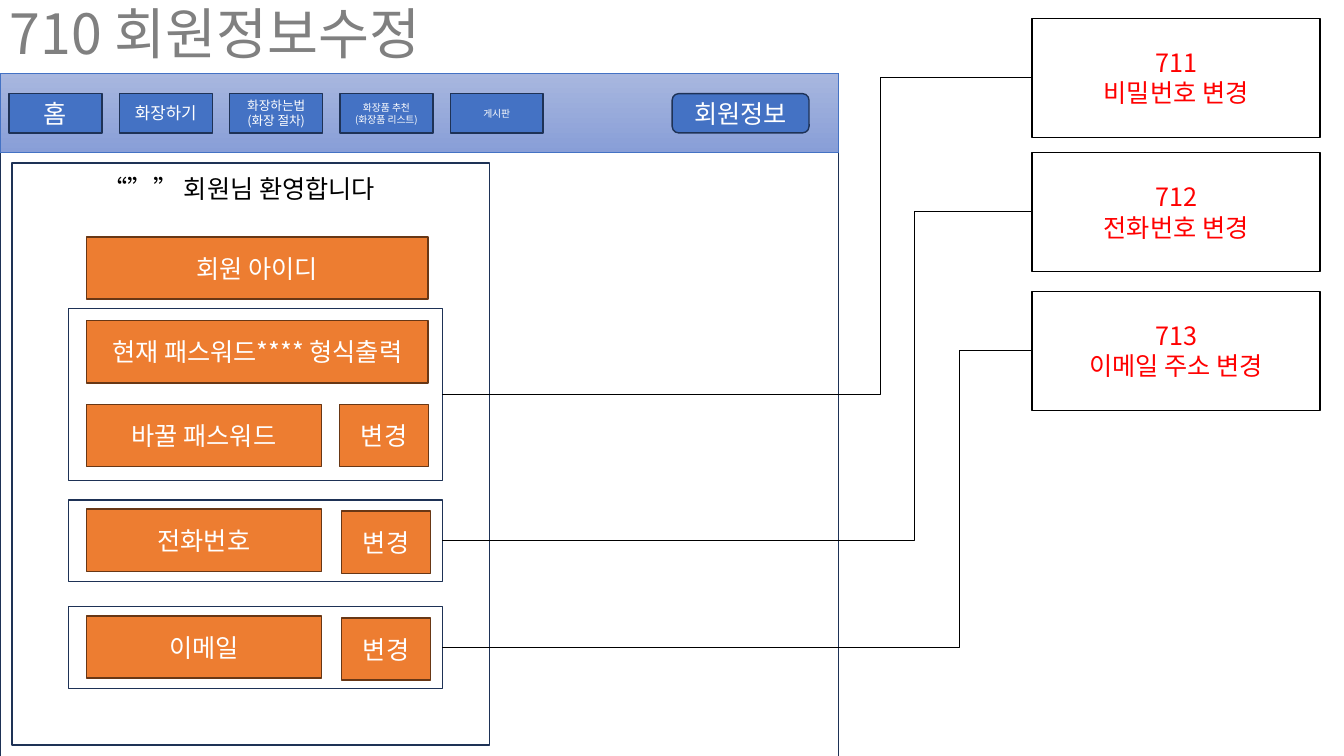
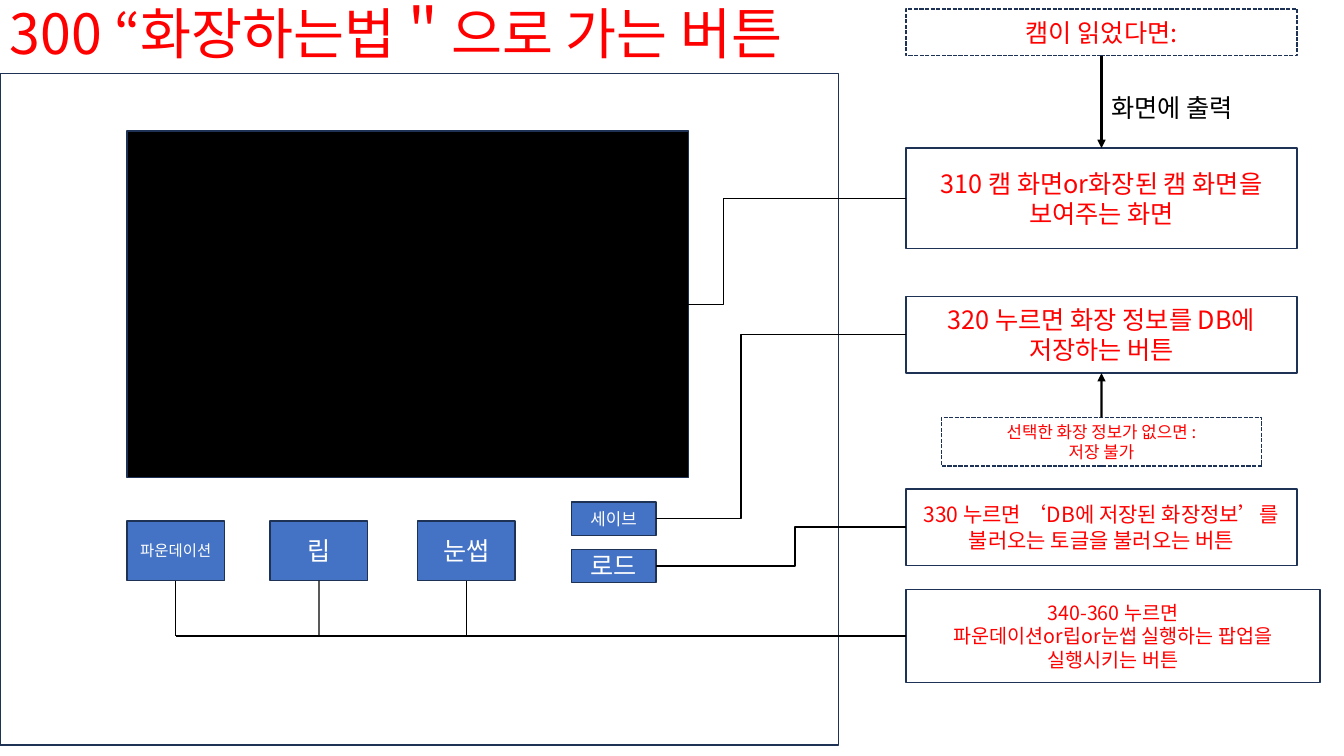
from lxml.etree import SubElement
from pptx import Presentation
from pptx.dml.color import RGBColor
from pptx.enum.dml import MSO_LINE
from pptx.enum.shapes import MSO_CONNECTOR, MSO_SHAPE
from pptx.enum.text import MSO_ANCHOR, PP_ALIGN
from pptx.oxml.ns import qn
from pptx.util import Cm, Pt

FONT = "Noto Sans CJK KR"
COLORS = {
    "navy": "1E3256", "blue": "4472C4", "orange": "ED7D31", "brown": "683715",
    "red": "FF0000", "gray": "808080", "black": "000000", "white": "FFFFFF",
    "band_top": "A8B7DF", "band_bottom": "889ED7",
}
FRAME_Y, FRAME_W = 1.85, 21.13
BOTTOM, RIGHT, LEFT = 2, 3, 1  # connection sites of a rectangle


def rgb(name):
    return RGBColor.from_string(COLORS[name])


# Basic parts
def put_text(sp, text, size=18, color="white", align=PP_ALIGN.CENTER,
             anchor=MSO_ANCHOR.MIDDLE, spacing=None):
    tf = sp.text_frame
    tf.word_wrap = True
    tf.vertical_anchor = anchor
    tf.text = text
    for p in tf.paragraphs:
        p.alignment = align
        p.line_spacing = spacing
        for r in p.runs:
            r.font.size = Pt(size)
            r.font.color.rgb = rgb(color)
            r.font.name = FONT
            SubElement(r.font._element, qn("a:ea"), typeface=FONT)


def add_label(s, x, y, w, h, text, **fmt):
    sp = s.shapes.add_textbox(Cm(x), Cm(y), Cm(w), Cm(h))
    put_text(sp, text, align=PP_ALIGN.LEFT, **fmt)


def add_box(s, x, y, w, h, text="", fill=None, line="navy", weight=1,
            dashed=False, shape=MSO_SHAPE.RECTANGLE, **fmt):
    sp = s.shapes.add_shape(shape, Cm(x), Cm(y), Cm(w), Cm(h))
    sp.shadow.inherit = False
    if fill:
        sp.fill.solid()
        sp.fill.fore_color.rgb = rgb(fill)
    else:
        sp.fill.background()
    sp.line.color.rgb = rgb(line)
    sp.line.width = Pt(weight)
    if dashed:
        sp.line.dash_style = MSO_LINE.SQUARE_DOT
    if text:
        put_text(sp, text, **fmt)
    return sp


def add_line(s, start=None, end=None, begin_at=(0, 0), end_at=(0, 0),
             weight=1, bend=None, arrow=False):
    """Join start and end, each a (shape, site) pair, or use free points."""
    kind = MSO_CONNECTOR.STRAIGHT if bend is None else MSO_CONNECTOR.ELBOW
    c = s.shapes.add_connector(kind, *(Cm(v) for v in (*begin_at, *end_at)))
    if start:
        c.begin_connect(*start)
    if end:
        c.end_connect(*end)
    c.line.color.rgb = rgb("black")
    c.line.width = Pt(weight)
    sp_pr = c.element.spPr
    if bend is not None:
        ratio = (Cm(bend) - c.begin_x) / (c.end_x - c.begin_x)
        guides = sp_pr.find(qn("a:prstGeom")).find(qn("a:avLst"))
        SubElement(guides, qn("a:gd"), name="adj1",
                   fmla=f"val {round(ratio * 100000)}")
    if arrow:
        SubElement(sp_pr.find(qn("a:ln")), qn("a:tailEnd"), type="triangle")
    SubElement(sp_pr, qn("a:effectLst"))


# Shared by both slides
def add_page(prs, title, color, title_w, frame_h):
    s = prs.slides.add_slide(prs.slide_layouts[6])
    add_box(s, 0, FRAME_Y, FRAME_W, frame_h)
    add_label(s, 0, 0, title_w, FRAME_Y, title, size=39.6, color=color,
              spacing=0.9)
    return s


# Member page regions
def add_nav(s, x, y, w):
    band = add_box(s, x, y, w, 2, line="blue", weight=0.5)
    band.fill.gradient()
    band.fill.gradient_angle = 270
    for stop, name in zip(band.fill.gradient_stops, ("band_top", "band_bottom")):
        stop.color.rgb = rgb(name)
    menu = [("홈", 18), ("화장하기", 12), ("화장하는법\n(화장 절차)", 9),
            ("화장품 추천\n(화장품 리스트)", 7), ("게시판", 7)]
    for i, (text, size) in enumerate(menu):
        add_box(s, x + 0.23 + i * 2.78, y + 0.51, 2.34, 0.99, text,
                fill="blue", size=size)
    add_box(s, x + 16.94, y + 0.51, 3.45, 0.99, "회원정보", fill="blue",
            shape=MSO_SHAPE.ROUNDED_RECTANGLE)


def add_field(s, x, y, w, text):
    add_box(s, x, y, w, 1.57, text, fill="orange", line="brown")


def add_edit_group(s, x, y, h, text, row_y=0.23, change=(6.88, 0.28)):
    group = add_box(s, x, y, 9.42, h)
    add_field(s, x + 0.45, y + row_y, 5.92, text)
    add_field(s, x + change[0], y + change[1], 2.24, "변경")
    return group


def add_member_panel(s, x, y):
    add_box(s, x, y, 12.04, 14.66)
    add_label(s, x + 2.04, y + 0.13, 8.46, 1.02, "“”” 회원님 환영합니다",
              color="black", anchor=MSO_ANCHOR.TOP)
    add_field(s, x + 1.88, y + 1.86, 8.61, "회원 아이디")
    gx = x + 1.43
    password = add_edit_group(s, gx, y + 3.66, 4.34, "바꿀 패스워드",
                              row_y=2.42, change=(6.83, 2.42))
    add_field(s, gx + 0.45, y + 3.97, 8.61, "현재 패스워드**** 형식출력")
    phone = add_edit_group(s, gx, y + 8.49, 2.06, "전화번호")
    email = add_edit_group(s, gx, y + 11.18, 2.06, "이메일")
    return password, phone, email


def member_slide(prs):
    s = add_page(prs, "710 회원정보수정", "gray", 29.21, 17.48)
    add_nav(s, 0, FRAME_Y, FRAME_W)
    groups = add_member_panel(s, 0.3, 4.11)
    callouts = [("711\n비밀번호 변경", 0.46, 22.17),
                ("712\n전화번호 변경", 3.84, 23.06),
                ("713\n이메일 주소 변경", 7.34, 24.18)]
    for group, (text, y, bend) in zip(groups, callouts):
        sp = add_box(s, 26.01, y, 7.26, 3, text, fill="white", line="black",
                     color="red")
        add_line(s, (group, RIGHT), (sp, LEFT), weight=0.5, bend=bend)


# Makeup page regions
def add_camera(s, x, y):
    screen = add_box(s, x, y, 14.15, 8.74, fill="black")
    parts = [add_box(s, x + dx, y + 9.83, 2.46, 1.5, text, fill="blue", size=size)
             for text, dx, size in (("파운데이션", 0, 11), ("립", 3.61, 18),
                                    ("눈썹", 7.32, 18))]
    save, load = [add_box(s, x + 11.2, y + dy, 2.13, 0.84, text, fill="blue",
                          size=size)
                  for text, dy, size in (("세이브", 9.35, 12), ("로드", 10.54, 18))]
    return screen, save, load, parts


def add_notes_column(s, x):
    def note(y, h, text, dx=0, w=9.86, **fmt):
        return add_box(s, x + dx, y, w, h, text, color="red", **fmt)

    cam = note(0.23, 1.17, "캠이 읽었다면:", dashed=True)
    view = note(3.73, 2.54, "310 캠 화면or화장된 캠 화면을 보여주는 화면")
    save = note(7.47, 1.93, "320 누르면 화장 정보를 DB에 저장하는 버튼")
    empty = note(10.52, 1.22, "선택한 화장 정보가 없으면 :\n저장 불가", dx=0.89,
                 w=8.08, size=12, dashed=True)
    load = note(12.32, 1.93, "330 누르면 ‘DB에 저장된 화장정보’를 "
                "불러오는 토글을 불러오는 버튼", size=15)
    popup = note(14.86, 2.34, "340-360 누르면\n파운데이션or립or눈썹 실행하는 "
                 "팝업을\n실행시키는 버튼", w=10.44, size=14)
    add_line(s, (cam, BOTTOM), (view, 0), weight=1.5, arrow=True)
    add_line(s, (empty, 0), (save, BOTTOM), weight=1.5, arrow=True)
    add_label(s, x + 4.93, 2.21, 4.27, 1.02, "화면에 출력", color="black",
              anchor=MSO_ANCHOR.TOP)
    return view, save, load, popup


def makeup_slide(prs):
    s = add_page(prs, "300 “화장하는법＂으로 가는 버튼", "red", 22.33, 16.92)
    screen, save, load, parts = add_camera(s, 3.2, 3.3)
    *notes, popup = add_notes_column(s, 22.83)
    for sp, note, bend in zip((screen, save, load), notes, (18.24, 18.67, 20.04)):
        add_line(s, (sp, RIGHT), (note, LEFT), bend=bend)
    # One shared line from the three makeup buttons
    bus_y = 16.03
    centers = [(sp.left + sp.width / 2) / Cm(1) for sp in parts]
    for sp, cx in zip(parts, centers):
        add_line(s, (sp, BOTTOM), end_at=(cx, bus_y))
    add_line(s, end=(popup, LEFT), begin_at=(centers[0], bus_y),
             end_at=(22.83, bus_y))


def main():
    prs = Presentation()
    prs.slide_width, prs.slide_height = Cm(33.87), Cm(19.05)
    member_slide(prs)
    makeup_slide(prs)
    prs.save("out.pptx")


if __name__ == "__main__":
    main()
